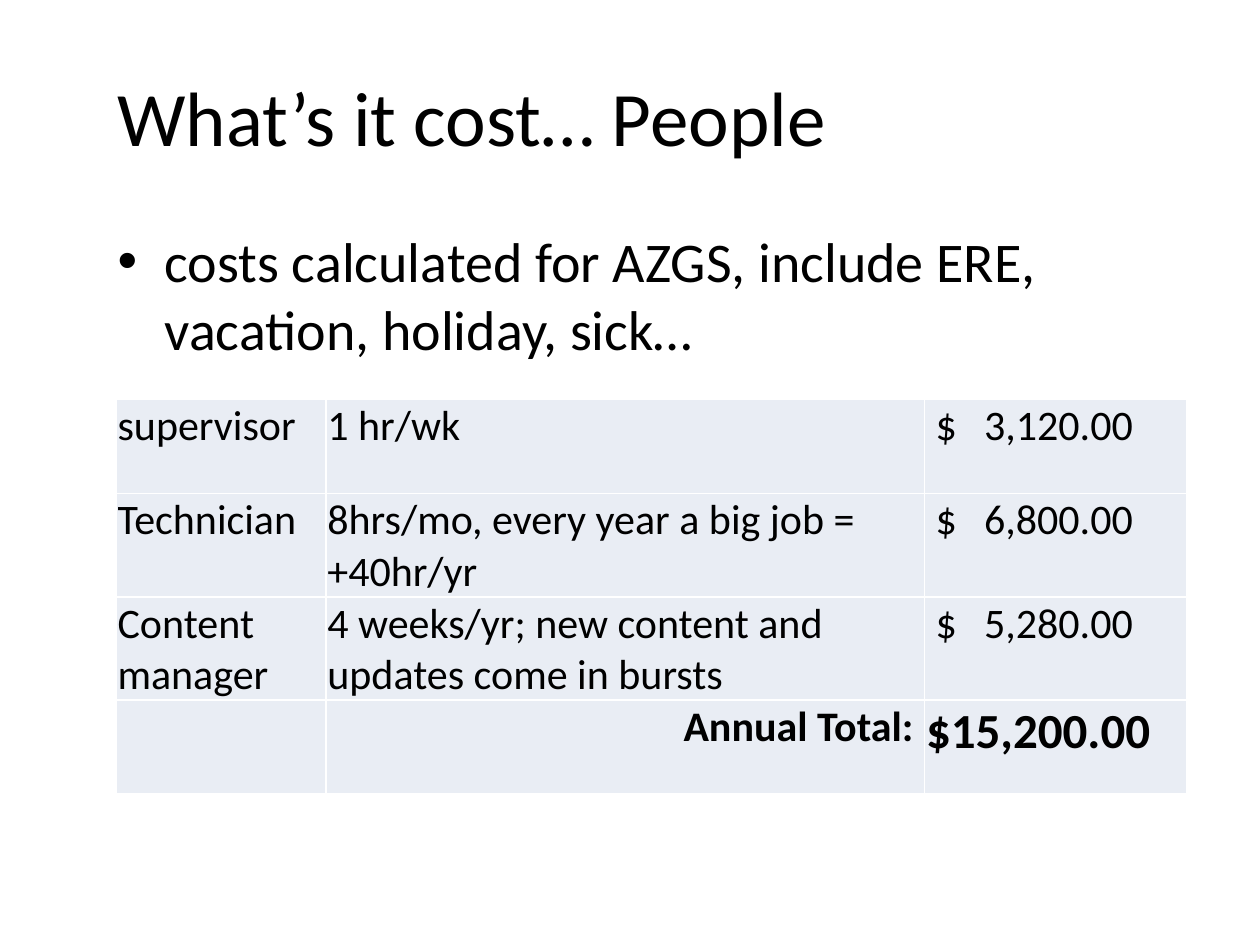
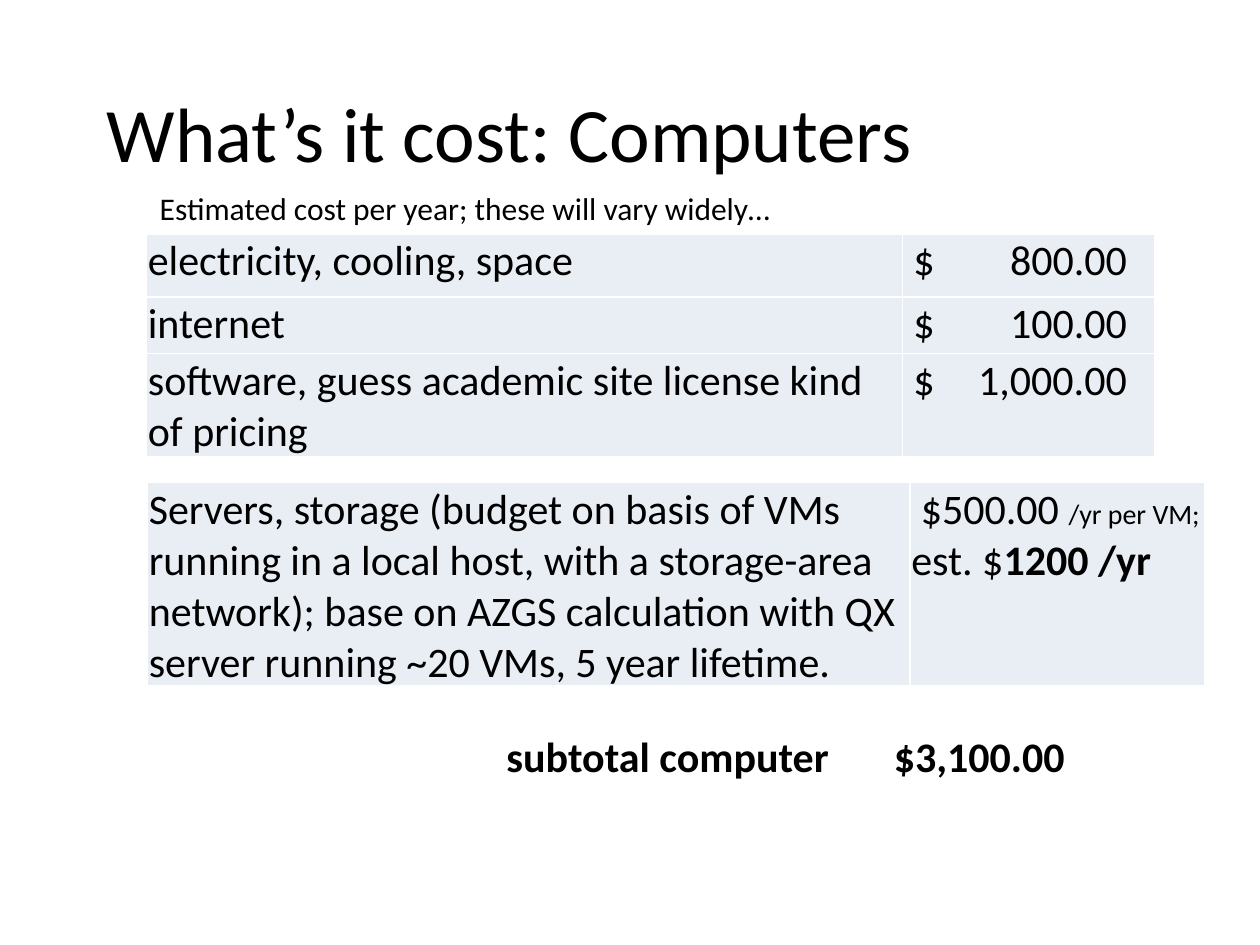
from lxml import etree
from pptx import Presentation
from pptx.dml.color import RGBColor
from pptx.enum import text
from pptx.oxml import ns
from pptx.util import Cm, Pt

FONT = "Calibri"
COLORS = {"ink": "000000", "cell": "E9EDF4", "rule": "FFFFFF"}
TITLE, BODY, LARGE, TABLE, NOTE, SMALL = 44, 32, 28, 24, 18, 16
RIGHT = text.PP_ALIGN.RIGHT


def write(frame, content, size, bold=False, align=None, tab=None):
    """Fill a frame; content is a string or a list of paragraphs of (text, size, bold) spans."""
    lines = [[(content, size, bold)]] if isinstance(content, str) else content
    for number, line in enumerate(lines):
        para = frame.add_paragraph() if number else frame.paragraphs[0]
        para.alignment = align
        if tab:
            stops = etree.SubElement(para._p.get_or_add_pPr(), ns.qn("a:tabLst"))
            etree.SubElement(stops, ns.qn("a:tab"), pos=str(Cm(tab[0])), algn=tab[1])
        para.font.name = FONT
        para.font.size = Pt(size)
        para.font.bold = bold
        para.font.color.rgb = RGBColor.from_string(COLORS["ink"])
        for words, span_size, span_bold in line:
            span = para.add_run()
            span.text = words
            if span_size != size:
                span.font.size = Pt(span_size)
            if span_bold != bold:
                span.font.bold = span_bold


def add_cost_table(page, left, top, widths, heights, rows, amount_edge):
    """Draw a plain cost table whose amounts end at amount_edge in the last column."""
    table = page.shapes.add_table(len(rows), len(widths), Cm(left), Cm(top),
                                  Cm(sum(widths)), Cm(sum(heights))).table
    table.first_row = table.horz_banding = False
    for column, width in zip(table.columns, widths):
        column.width = Cm(width)
    for row, height, values in zip(table.rows, heights, rows):
        row.height = Cm(height)
        for cell, value in zip(row.cells, values):
            cell.margin_left = cell.margin_right = cell.margin_top = Cm(0.03)
            cell.margin_bottom = 0
            for side in ("lnL", "lnR", "lnT", "lnB"):
                line = etree.SubElement(cell._tc.get_or_add_tcPr(), ns.qn("a:" + side),
                                        w=str(Pt(1)))
                fill = etree.SubElement(line, ns.qn("a:solidFill"))
                etree.SubElement(fill, ns.qn("a:srgbClr"), val=COLORS["rule"])
            cell.fill.solid()
            cell.fill.fore_color.rgb = RGBColor.from_string(COLORS["cell"])
            if not value:
                continue
            style = value if isinstance(value, dict) else {"content": value}
            has_tab = "\t" in style["content"]
            write(cell.text_frame, **{"size": TABLE, **style},
                  tab=(amount_edge, "r") if has_tab else None)


deck = Presentation()
deck.slide_width, deck.slide_height = Cm(25.4), Cm(19.05)

# Pages and titles
pages = []
for title, left, top in (("What’s it cost… People", 2.12, 0.74),
                         ("What’s it cost: Computers", 1.9, 1.06)):
    page = deck.slides.add_slide(deck.slide_layouts[6])
    box = page.shapes.add_textbox(Cm(left), Cm(top), Cm(22.43), Cm(3.18))
    box.text_frame.word_wrap = True
    box.text_frame.vertical_anchor = text.MSO_ANCHOR.MIDDLE
    write(box.text_frame, title, TITLE)
    pages.append(page)
people, computers = pages

# People: bulleted remark
box = people.shapes.add_textbox(Cm(2.12), Cm(4.45), Cm(22.43), Cm(11.94))
box.text_frame.word_wrap = True
write(box.text_frame, "costs calculated for AZGS, include ERE, vacation, holiday, sick…", BODY)
para = box.text_frame.paragraphs[0]
para.space_before = Pt(6.4)
properties = para._p.get_or_add_pPr()
properties.set("marL", str(Cm(0.95)))
properties.set("indent", str(Cm(-0.95)))
bullet_font = etree.Element(ns.qn("a:buFont"), typeface="Arial")
bullet = etree.Element(ns.qn("a:buChar"), char="•")
default_font = properties.find(ns.qn("a:defRPr"))
default_font.addprevious(bullet_font)
default_font.addprevious(bullet)

# People: yearly costs
add_cost_table(people, 2.34, 8.05, (4.23, 12.07, 5.29), (1.9, 2.08, 2.08, 1.9), (
    ("supervisor", "1 hr/wk", " $\t3,120.00"),
    ("Technician", "8hrs/mo, every year a big job = +40hr/yr", " $\t6,800.00"),
    ("Content manager", "4 weeks/yr; new content and updates come in bursts", " $\t5,280.00"),
    (None, {"content": "Annual Total: ", "bold": True, "align": RIGHT},
     {"content": "$15,200.00", "size": LARGE, "bold": True}),
), 4.17)

# Computers: running costs
add_cost_table(computers, 2.95, 4.72, (15.24, 5.08), (1.27, 1.14, 2.08), (
    ("electricity, cooling, space", " $\t800.00"),
    ("internet", " $\t100.00"),
    ("software, guess academic site license kind of pricing", " $\t1,000.00"),
), 4.5)

# Computers: remark above the table
box = computers.shapes.add_textbox(Cm(2.97), Cm(3.68), Cm(12.98), Cm(1.02))
box.text_frame.word_wrap = False
write(box.text_frame, "Estimated cost per year; these will vary widely…", NOTE)

# Computers: server costs
server_price = [
    [(" $500.00 ", TABLE, False), ("/yr per VM;", SMALL, False)],
    [("est. $", TABLE, False), ("1200 /yr", TABLE, True)],
]
add_cost_table(computers, 2.97, 9.73, (15.37, 5.94), (4.09,), (
    ("Servers, storage (budget on basis of VMs running in a local host, with a storage-area "
     "network); base on AZGS calculation with QX server running ~20 VMs, 5 year lifetime.",
     server_price),
), 4.5)

# Computers: subtotal
box = computers.shapes.add_textbox(Cm(9.96), Cm(14.6), Cm(14.48), Cm(1.27))
box.text_frame.word_wrap = True
write(box.text_frame, "subtotal computer\t$3,100.00", TABLE, bold=True, tab=(7.81, "l"))

deck.save("out.pptx")
